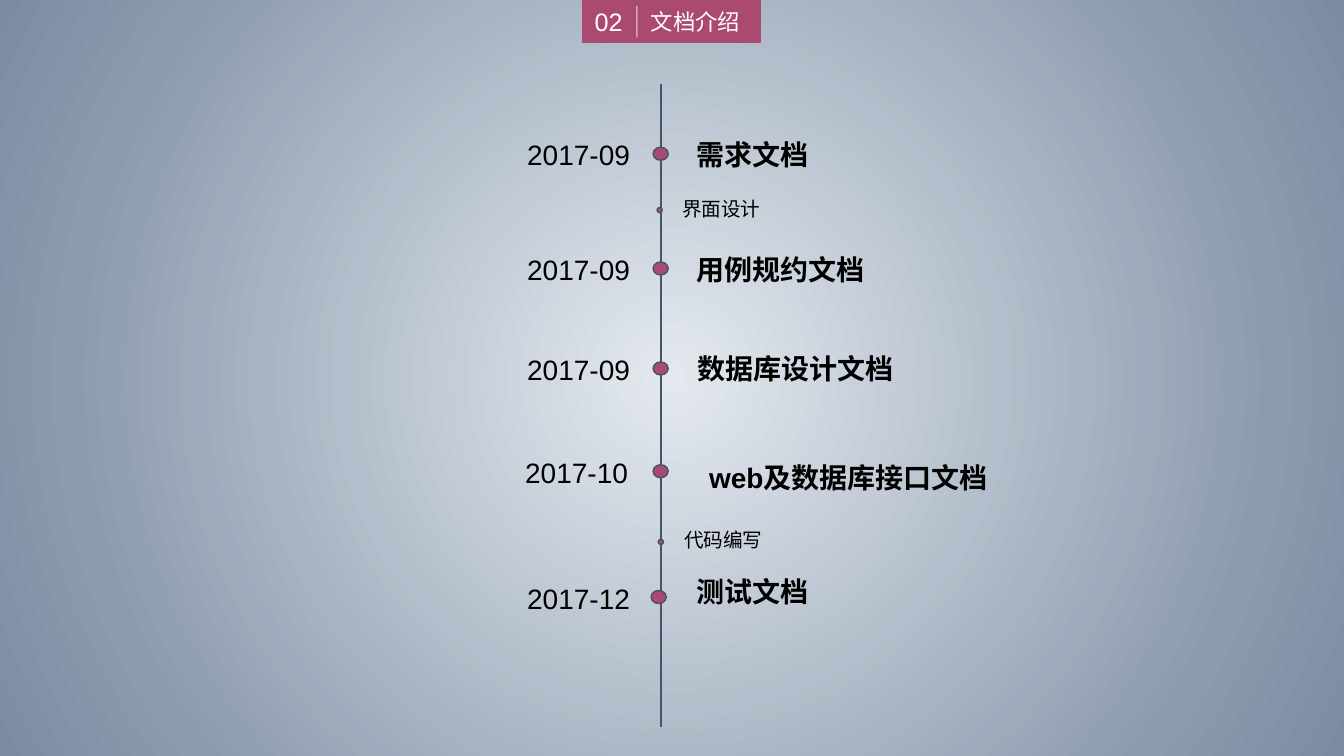
from dataclasses import dataclass

from lxml import etree
from pptx import Presentation
from pptx.dml.color import RGBColor
from pptx.enum.shapes import MSO_CONNECTOR, MSO_SHAPE
from pptx.enum.text import MSO_ANCHOR, MSO_AUTO_SIZE, PP_ALIGN
from pptx.oxml.ns import qn
from pptx.util import Cm, Pt

OVAL, RECTANGLE = MSO_SHAPE.OVAL, MSO_SHAPE.RECTANGLE
STRAIGHT = MSO_CONNECTOR.STRAIGHT
TOP, MIDDLE = MSO_ANCHOR.TOP, MSO_ANCHOR.MIDDLE
LEFT, CENTER, RIGHT = PP_ALIGN.LEFT, PP_ALIGN.CENTER, PP_ALIGN.RIGHT
GROW = MSO_AUTO_SIZE.SHAPE_TO_FIT_TEXT
TITLE_ONLY = 5


@dataclass(frozen=True)
class Theme:
    """Colours, font and type sizes of the slide."""
    accent: str = "AB4A70"
    axis: str = "44546A"
    text: str = "000000"
    light: str = "FFFFFF"
    backdrop: tuple = ((0, "E4E9EF"), (78, "8C9BAE"), (100, "7B8BA4"))
    font: str = "Arial"
    number: int = 18
    heading: int = 16
    entry: int = 20
    step: int = 14


@dataclass(frozen=True)
class Frame:
    """Left, top, width and height in centimetres."""
    left: float
    top: float
    width: float
    height: float

    def lengths(self):
        """Return the four values as lengths."""
        return [Cm(v) for v in (self.left, self.top, self.width, self.height)]


@dataclass(frozen=True)
class Milestone:
    """A dated document on the timeline."""
    date: str
    name: str
    dot_top: float
    name_top: float
    name_width: float
    name_left: float = 17.27
    date_left: float = 12.8
    dot_left: float = 16.46


@dataclass(frozen=True)
class Step:
    """A small undated step between milestones."""
    name: str
    dot_left: float
    dot_top: float
    name_left: float


THEME = Theme()
MILESTONES = (
    Milestone("2017-09", "需求文档", 3.71, 3.33, 3.35),
    Milestone("2017-09", "用例规约文档", 6.6, 6.25, 4.78),
    Milestone("2017-09", "数据库设计文档", 9.12, 8.74, 5.51),
    Milestone("2017-10", "web及数据库接口文档", 11.71, 11.48, 7.7,
              name_left=17.45, date_left=12.75),
    Milestone("2017-12", "测试文档", 14.88, 14.35, 3.35, dot_left=16.41),
)
STEPS = (Step("界面设计", 16.56, 5.23, 16.94),
         Step("代码编写", 16.59, 13.59, 16.99))


def paint_background(page) -> None:
    """Fill the page with a gradient spreading from its centre."""
    page.background.fill.gradient()
    gradient = page.element.find(".//" + qn("a:gradFill"))
    for child in list(gradient):
        gradient.remove(child)
    stops = etree.SubElement(gradient, qn("a:gsLst"))
    for position, colour in THEME.backdrop:
        stop = etree.SubElement(stops, qn("a:gs"), pos=str(position * 1000))
        etree.SubElement(stop, qn("a:srgbClr"), val=colour)
    circle = etree.SubElement(gradient, qn("a:path"))
    circle.set("path", "circle")
    etree.SubElement(circle, qn("a:fillToRect"),
                     dict.fromkeys("ltrb", "50000"))


def write(box, text: str, size: int, colour: str, align=LEFT, anchor=TOP,
          wrap: bool = False, bold: bool = False) -> None:
    """Put one formatted line of text in a box."""
    frame = box.text_frame
    frame_format = {"word_wrap": wrap, "auto_size": GROW,
                    "vertical_anchor": anchor}
    for name, value in frame_format.items():
        setattr(frame, name, value)
    para = frame.paragraphs[0]
    para.alignment = align
    span = para.add_run()
    span.text = text
    font_format = {"name": THEME.font, "size": Pt(size), "bold": bold}
    for name, value in font_format.items():
        setattr(span.font, name, value)
    span.font.color.rgb = RGBColor.from_string(colour)


def add_label(shapes, frame: Frame, text: str, size: int, colour: str,
              **text_format) -> None:
    """Add a text box holding one line."""
    write(shapes.add_textbox(*frame.lengths()), text, size, colour,
          **text_format)


def add_solid(shapes, kind, frame: Frame, line_colour: str) -> None:
    """Add a preset shape in the accent colour."""
    shape = shapes.add_shape(kind, *frame.lengths())
    shape.shadow.inherit = False
    shape.fill.solid()
    shape.fill.fore_color.rgb = RGBColor.from_string(THEME.accent)
    shape.line.color.rgb = RGBColor.from_string(line_colour)
    shape.line.width = Pt(1)


def add_vertical(shapes, x: float, top: float, bottom: float, colour: str,
                 opacity: int = 100) -> None:
    """Add a vertical line, opaque to the given percentage."""
    line = shapes.add_connector(STRAIGHT, Cm(x), Cm(top), Cm(x), Cm(bottom))
    line.line.color.rgb = RGBColor.from_string(colour)
    line.line.width = Pt(1)
    properties = line.element.spPr
    etree.SubElement(properties, qn("a:effectLst"))
    if opacity < 100:
        tint = properties.find(".//" + qn("a:srgbClr"))
        etree.SubElement(tint, qn("a:alpha"), val=str(opacity * 1000))


def add_header(page) -> None:
    """Add the banner with section number and slide title."""
    shapes = page.shapes
    add_solid(shapes, RECTANGLE, Frame(14.68, 0, 4.47, 1.07), THEME.accent)
    title = shapes.title
    places = zip(("left", "top", "width", "height"),
                 Frame(16.15, 0.08, 3, 0.94).lengths())
    for name, value in places:
        setattr(title, name, value)
    write(title, "文档介绍", THEME.heading, THEME.light,
          anchor=MIDDLE, wrap=True)
    title.element.getparent().append(title.element)  # in front of the banner
    add_label(shapes, Frame(14.68, 0.03, 1.32, 1.02), "02", THEME.number,
              THEME.light, align=CENTER, anchor=MIDDLE, wrap=True)
    add_vertical(shapes, 16.05, 0.15, 0.94, THEME.light, opacity=49)


def add_milestone(page, item: Milestone) -> None:
    """Add a grouped dot, date and document name."""
    shapes = page.shapes.add_group_shape().shapes
    add_solid(shapes, OVAL, Frame(item.dot_left, item.dot_top, 0.38, 0.33),
              THEME.axis)
    add_label(shapes, Frame(item.date_left, item.dot_top - 0.36, 3.33, 1.12),
              item.date, THEME.entry, THEME.text, align=RIGHT)
    add_label(shapes,
              Frame(item.name_left, item.name_top, item.name_width, 1.12),
              item.name, THEME.entry, THEME.text, align=RIGHT, bold=True)


def add_step(page, item: Step) -> None:
    """Add a small dot and its label."""
    add_solid(page.shapes, OVAL,
              Frame(item.dot_left, item.dot_top, 0.13, 0.13), THEME.axis)
    add_label(page.shapes,
              Frame(item.name_left, item.dot_top - 0.4, 2.51, 0.86),
              item.name, THEME.step, THEME.text)


def main() -> None:
    """Build and save the deck."""
    deck = Presentation()
    deck.slide_width, deck.slide_height = Cm(33.87), Cm(19.05)
    page = deck.slides.add_slide(deck.slide_layouts[TITLE_ONLY])
    paint_background(page)
    add_header(page)
    add_vertical(page.shapes, 16.66, 2.11, 18.31, THEME.axis)
    for milestone in MILESTONES:
        add_milestone(page, milestone)
    for step in STEPS:
        add_step(page, step)
    deck.save("out.pptx")


main()
